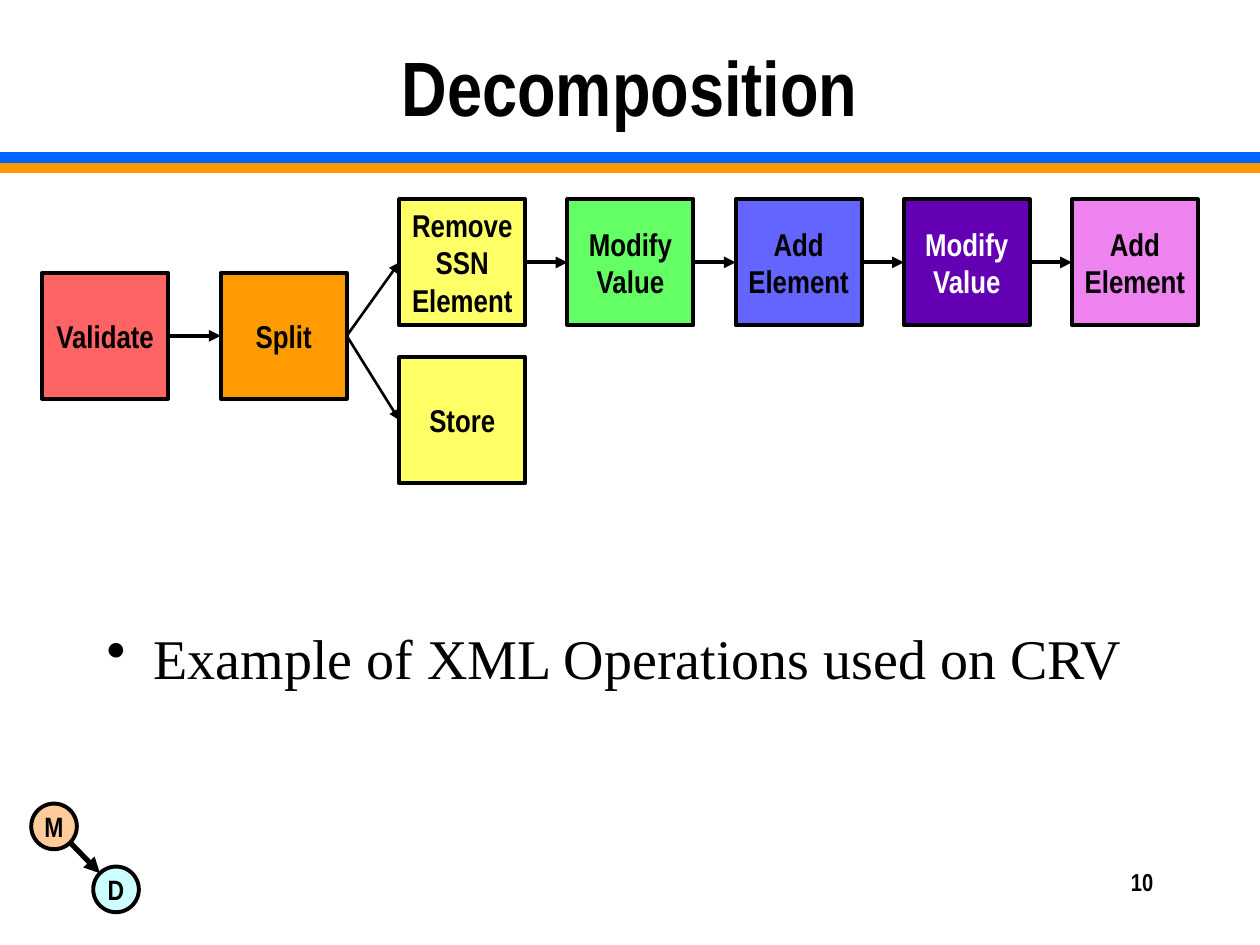
import pptx
import pptx.dml.color
import pptx.enum.shapes
import pptx.enum.text
import pptx.oxml
import pptx.oxml.ns
import pptx.util
from pptx.util import Cm, Pt

SHAPE = pptx.enum.shapes.MSO_SHAPE
ALIGN = pptx.enum.text.PP_ALIGN
ANCHOR = pptx.enum.text.MSO_ANCHOR
NARROW = "Arial Narrow"
SIDE = 2.54


def color(hex_string):
    """Return the RGB colour for a hex string."""
    return pptx.dml.color.RGBColor.from_string(hex_string)


def add_xml(parent, tag, **attrs):
    """Append a DrawingML element with the given attributes."""
    el = pptx.oxml.parse_xml(f"<a:{tag} {pptx.oxml.ns.nsdecls('a')}/>")
    for name, value in attrs.items():
        el.set(name, value)
    parent.append(el)


def set_text(sp, text, size, font=NARROW, bold=True, ink="000000",
             align=ALIGN.CENTER, anchor=ANCHOR.MIDDLE, wrap=True):
    """Write the text of a shape and format every run."""
    tf = sp.text_frame
    tf.text = text
    tf.word_wrap = wrap
    tf.auto_size = pptx.enum.text.MSO_AUTO_SIZE.NONE
    tf.vertical_anchor = anchor
    for p in tf.paragraphs:
        p.alignment = align
        for r in p.runs:
            r.font.name, r.font.size, r.font.bold = font, Pt(size), bold
            r.font.color.rgb = color(ink)


def add_node(s, kind, left, top, side, text, fill, size, ink="000000"):
    """Add an outlined square or circle with a centred label."""
    sp = s.shapes.add_shape(kind, Cm(left), Cm(top), Cm(side), Cm(side))
    sp.shadow.inherit = False
    sp.fill.solid()
    sp.fill.fore_color.rgb = color(fill)
    sp.line.color.rgb = color("000000")
    sp.line.width = Pt(2.25)
    set_text(sp, text, size, ink=ink, wrap=False)
    return sp


def add_line(s, x1, y1, x2, y2, width, ink="000000", arrow=False):
    """Add a straight line, with an arrowhead at its end if wanted."""
    line = s.shapes.add_connector(
        pptx.enum.shapes.MSO_CONNECTOR.STRAIGHT, Cm(x1), Cm(y1), Cm(x2), Cm(y2))
    line.line.color.rgb = color(ink)
    line.line.width = Pt(width)
    if arrow:
        add_xml(line.line._get_or_add_ln(), "tailEnd", type="triangle")
    add_xml(line._element.spPr, "effectLst")
    return line


def join(s, start, end, width=2.25):
    """Draw an arrow from the right side of one box to the left of another."""
    line = add_line(s, 0, 0, 1, 1, width, arrow=True)
    line.begin_connect(start, 3)
    line.end_connect(end, 1)


def add_header(s, left, top, width):
    """Place the title and the two coloured rules below it."""
    title = s.shapes.title
    title.left, title.top = Cm(left + 1.9), Cm(top + 0.3)
    title.width, title.height = Cm(width - 3.8), Cm(2.86)
    set_text(title, "Decomposition", 44)
    add_line(s, left, top + 3.39, left + width, top + 3.39, 6, "FF9900")
    add_line(s, left, top + 3.18, left + width, top + 3.18, 6, "0066FF")


def add_flow(s, left, top):
    """Place the operation boxes and the arrows between them."""
    def box(x, y, text, fill, ink="000000"):
        return add_node(s, SHAPE.RECTANGLE, left + x, top + y, SIDE, text, fill, 18, ink)

    step, chain_step = 3.6, 3.39
    validate = box(0, 1.48, "Validate", "FF6464")
    split = box(step, 1.48, "Split", "FF9B00")
    store = box(2 * step, 3.18, "Store", "FFFF66")
    operations = [
        ("Remove\nSSN\nElement", "FFFF66", "000000"),
        ("Modify\nValue", "64FF64", "000000"),
        ("Add\nElement", "6464FF", "000000"),
        ("Modify\nValue", "6300B4", "FFFFFF"),
        ("Add\nElement", "EE82EE", "000000"),
    ]
    chain = [box(2 * step + i * chain_step, 0, *operation)
             for i, operation in enumerate(operations)]
    join(s, validate, split)
    for branch in (chain[0], store):
        join(s, split, branch, 1.5)
    for start, end in zip(chain, chain[1:]):
        join(s, start, end)


def add_body(s, left, top, width, height):
    """Place the bulleted statement."""
    sp = s.shapes.add_textbox(Cm(left), Cm(top), Cm(width), Cm(height))
    set_text(sp, "Example of XML Operations used on CRV", 32, "Times New Roman",
             False, align=ALIGN.LEFT, anchor=ANCHOR.TOP)
    p = sp.text_frame.paragraphs[0]
    p.space_before = Pt(8)
    pPr = p._p.get_or_add_pPr()
    pPr.set("marL", str(Cm(0.95)))
    pPr.set("indent", str(Cm(-0.95)))
    add_xml(pPr, "buChar", char="•")


def add_marker(s, left, top):
    """Place the two linked circles."""
    side, dx, dy = 0.92, 1.25, 1.27
    add_node(s, SHAPE.OVAL, left, top, side, "M", "FFCC99", 16)
    add_node(s, SHAPE.OVAL, left + dx, top + dy, side, "D", "CCFFFF", 16)
    near = side / 2 * (1 - 0.5 ** 0.5)
    far = side - near
    add_line(s, left + far, top + far, left + dx + near, top + dy + near, 3, arrow=True)


def add_page_number(s, left, top, width, height):
    """Place the page number."""
    sp = s.shapes.add_textbox(Cm(left), Cm(top), Cm(width), Cm(height))
    set_text(sp, "10", 14, align=ALIGN.RIGHT, anchor=ANCHOR.TOP)


def main():
    """Build and save the slide."""
    prs = pptx.Presentation()
    prs.slide_width, prs.slide_height = Cm(25.4), Cm(19.05)
    s = prs.slides.add_slide(prs.slide_layouts[5])
    add_header(s, 0, 0, 25.4)
    add_marker(s, 0.63, 16.2)
    add_body(s, 1.9, 12.45, 21.6, 4.4)
    add_flow(s, 0.85, 4.02)
    add_page_number(s, 18.2, 17.35, 5.3, 1.27)
    prs.save("out.pptx")


if __name__ == "__main__":
    main()
